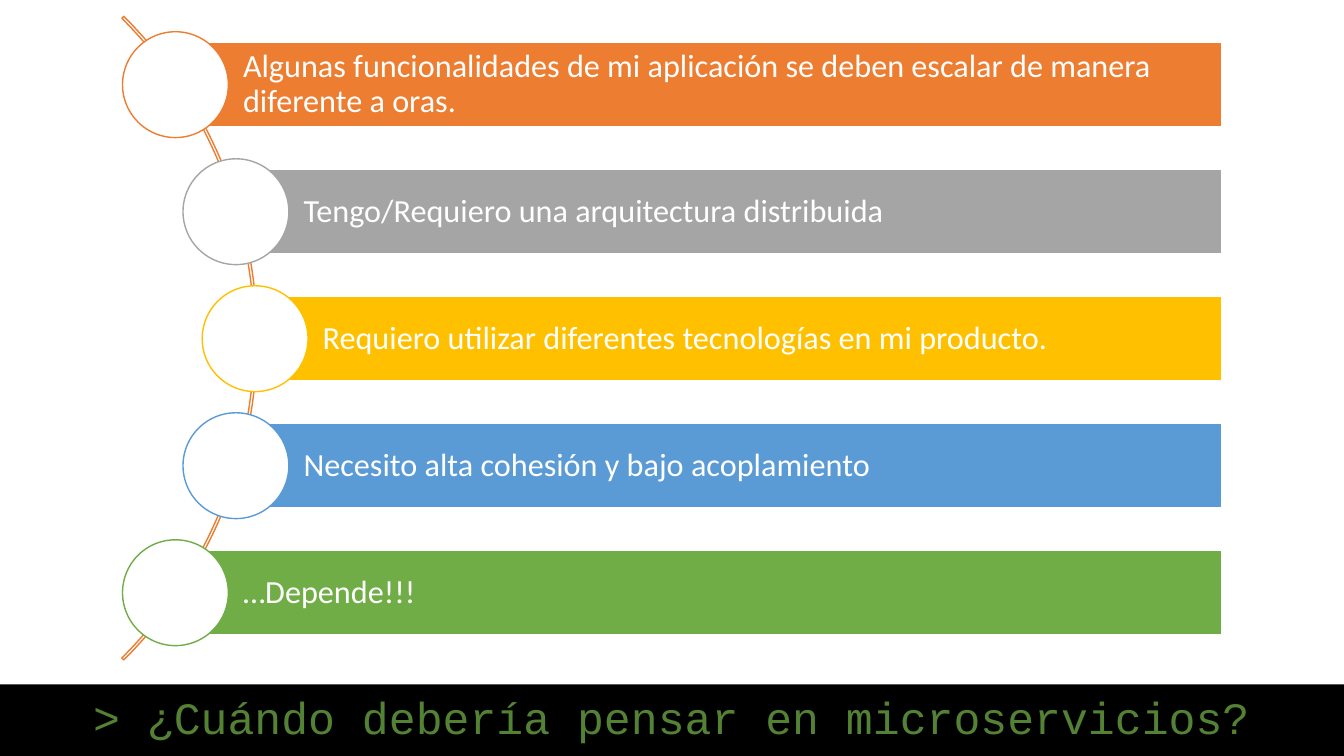
from pptx import Presentation
from pptx.dml.color import RGBColor
from pptx.enum.shapes import MSO_SHAPE as Preset
from pptx.enum.text import MSO_ANCHOR as Anchor, PP_ALIGN as Align
from pptx.util import Inches, Pt

WHITE = "FFFFFF"
ORANGE = "ED7D31"
REASONS = [
    ("Algunas funcionalidades de mi aplicación se deben escalar de manera diferente a oras.", ORANGE, 1.74),
    ("Tengo/Requiero una arquitectura distribuida", "A5A5A5", 2.34),
    ("Requiero utilizar diferentes tecnologías en mi producto.", "FFC000", 2.53),
    ("Necesito alta cohesión y bajo acoplamiento", "5B9BD5", 2.34),
    ("…Depende!!!", "70AD47", 1.74),
]
FIRST_CENTER, PITCH = 0.84, 1.26
BAR_HEIGHT, BAR_RIGHT = 0.84, 12.12
CIRCLE_SIZE = 1.05


def rgb(value):
    return RGBColor.from_string(value)


def write(shape, text, *, font, size, color, align=Align.LEFT, insets=(0.1, 0.05, 0.1, 0.05)):
    frame = shape.text_frame
    frame.word_wrap = True
    frame.vertical_anchor = Anchor.MIDDLE
    frame.margin_left, frame.margin_top, frame.margin_right, frame.margin_bottom = map(Inches, insets)
    paragraph = frame.paragraphs[0]
    paragraph.alignment = align
    paragraph.line_spacing = 0.9
    run = paragraph.add_run()
    run.text = text
    run.font.name = font
    run.font.size = Pt(size)
    run.font.color.rgb = rgb(color)


class ReasonsSlide:
    def __init__(self, slide):
        self.slide = slide

    def shape(self, preset, left, top, width, height, fill=None, line=None):
        shape = self.slide.shapes.add_shape(
            preset, Inches(left), Inches(top), Inches(width), Inches(height))
        shape.shadow.inherit = False
        if fill:
            shape.fill.solid()
            shape.fill.fore_color.rgb = rgb(fill)
        else:
            shape.fill.background()
        if line:
            shape.line.color.rgb = rgb(line)
            shape.line.width = Pt(1)
        else:
            shape.line.fill.background()
        return shape

    def title_band(self, text):
        band = self.shape(Preset.RECTANGLE, 0, 6.79, 13.33, 0.71, fill="000000")
        write(band, text, font="Courier New", size=32, color="548235", align=Align.CENTER)

    def arc(self):
        arc = self.shape(Preset.BLOCK_ARC, -6.48, -1.16, 9.03, 9.03, line=ORANGE)
        for index, value in enumerate((189, 27, 0.003)):
            arc.adjustments[index] = value

    def reason(self, text, color, center_x, center_y):
        """Draw a bar that starts at the centre of its circle."""
        bar = self.shape(Preset.RECTANGLE, center_x, center_y - BAR_HEIGHT / 2,
                         BAR_RIGHT - center_x, BAR_HEIGHT, fill=color, line=WHITE)
        write(bar, text, font="Calibri", size=23, color=WHITE, insets=(0.67, 0.06, 0.06, 0.06))
        self.shape(Preset.OVAL, center_x - CIRCLE_SIZE / 2, center_y - CIRCLE_SIZE / 2,
                   CIRCLE_SIZE, CIRCLE_SIZE, fill=WHITE, line=color)


def main():
    presentation = Presentation()
    presentation.slide_width = Inches(13.33)
    presentation.slide_height = Inches(7.5)
    page = ReasonsSlide(presentation.slides.add_slide(presentation.slide_layouts[6]))
    page.title_band("> ¿Cuándo debería pensar en microservicios?")
    page.arc()
    for index, (text, color, center_x) in enumerate(REASONS):
        page.reason(text, color, center_x, FIRST_CENTER + index * PITCH)
    presentation.save("out.pptx")


if __name__ == "__main__":
    main()
